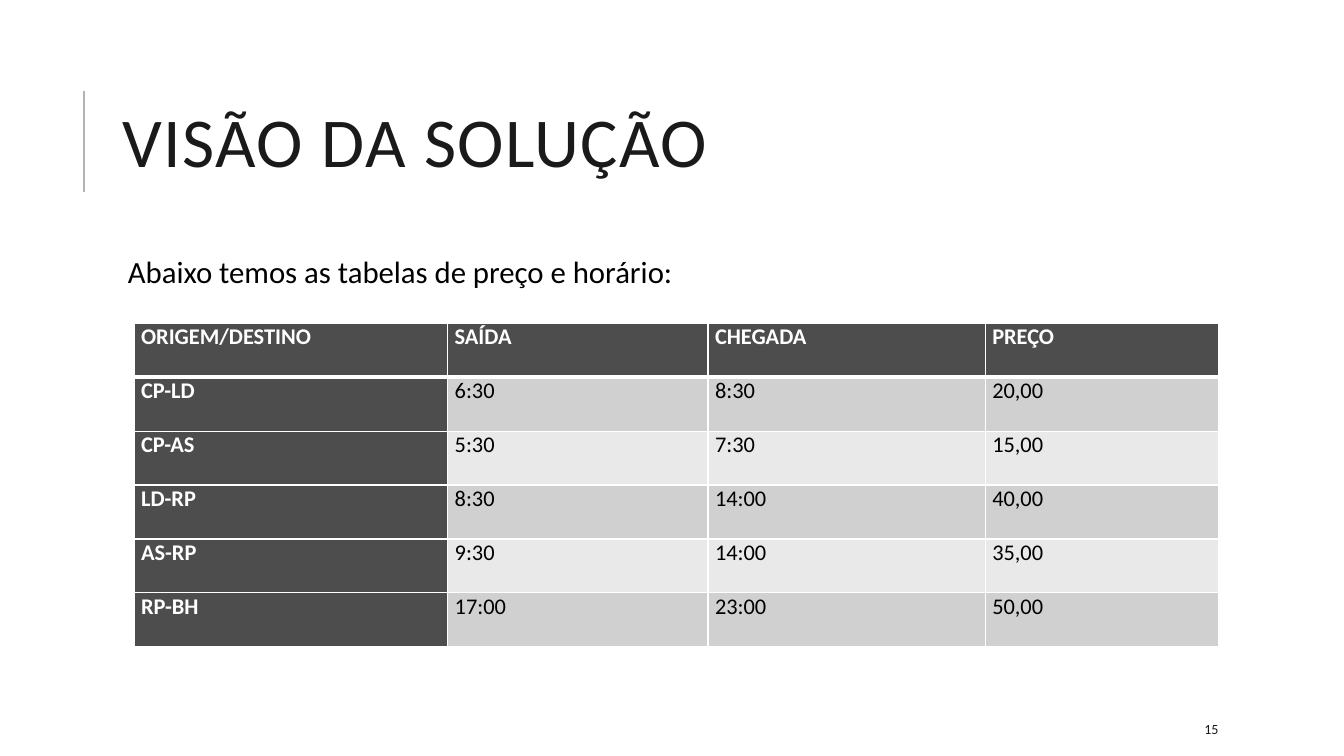
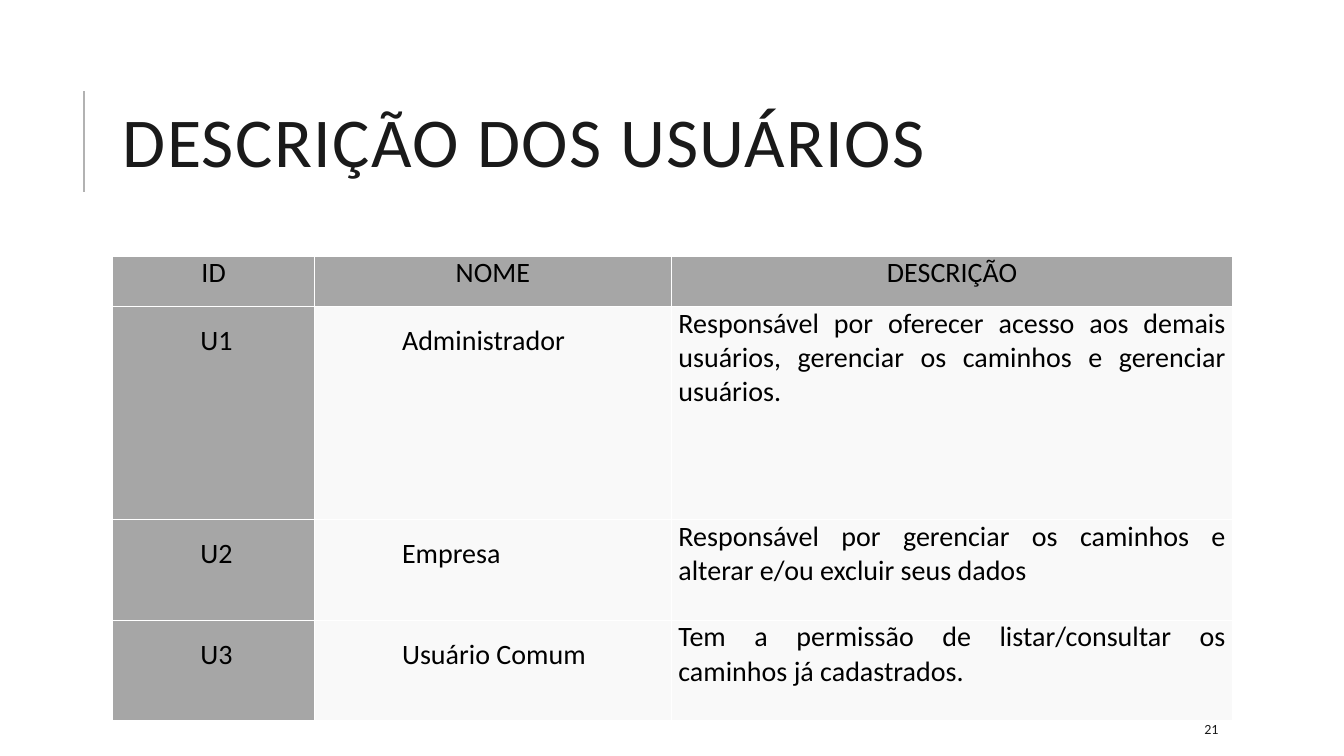
from dataclasses import dataclass, field

from lxml import etree
from pptx import Presentation
from pptx.dml.color import RGBColor
from pptx.enum.shapes import MSO_CONNECTOR
from pptx.enum.text import MSO_ANCHOR, PP_ALIGN
from pptx.oxml.ns import qn
from pptx.util import Pt

STRAIGHT = MSO_CONNECTOR.STRAIGHT
TOP, MIDDLE = MSO_ANCHOR.TOP, MSO_ANCHOR.MIDDLE
LEFT, CENTER, JUSTIFY = PP_ALIGN.LEFT, PP_ALIGN.CENTER, PP_ALIGN.JUSTIFY


@dataclass(frozen=True)
class Theme:
    font: str = "Calibri"
    black: str = "000000"
    white: str = "FFFFFF"
    ink: str = "1A1A1A"
    rule: str = "B2B2B2"
    dark: str = "4D4D4D"
    band_odd: str = "D0D0D0"
    band_even: str = "E9E9E9"
    header_gray: str = "A6A6A6"
    cell_gray: str = "F9F9F9"
    title_size: float = 50
    body_size: float = 22
    fares_size: float = 16
    users_size: float = 20
    number_size: float = 10


THEME = Theme()


@dataclass(frozen=True)
class Box:
    left: float
    top: float
    width: float
    height: float

    def lengths(self):
        return [Pt(n) for n in (self.left, self.top, self.width, self.height)]


@dataclass(frozen=True)
class TextStyle:
    size: float
    color: str = THEME.black
    bold: bool = False
    tracking: float = 0
    indent: float = 0
    para: dict = field(default_factory=dict)


@dataclass(frozen=True)
class CellStyle:
    fill: str
    text: TextStyle
    bottom_line: float = 1


PAGE = Box(0, 0, 960, 540)
TITLE_BOX = Box(80.6, 46, 765.4, 118)
INTRO_BOX = Box(80.6, 180, 765.4, 40)
FARES_BOX = Box(95.8, 231, 775, 231)
USERS_BOX = Box(80.6, 183, 800, 332)
NUMBER_BOX = Box(853.2, 509.8, 76.4, 21.6)
RULE_X, RULE_TOP, RULE_BOTTOM = 60, 65, 137

CELL_GAPS = {"space_before": Pt(3), "space_after": Pt(3)}
CELL_PARA = {"alignment": JUSTIFY, **CELL_GAPS}
TITLE = TextStyle(THEME.title_size, THEME.ink, tracking=1,
                  para={"alignment": LEFT, "line_spacing": 0.8})
INTRO = TextStyle(THEME.body_size, indent=7.2,
                  para={"line_spacing": 0.9, "space_before": Pt(12),
                        "space_after": Pt(2)})
NUMBER = TextStyle(THEME.number_size, THEME.ink)
FARES_HEAD = TextStyle(THEME.fares_size, THEME.white, True, para=CELL_PARA)
FARES_BODY = TextStyle(THEME.fares_size, para=CELL_PARA)
USERS_HEAD = TextStyle(THEME.users_size, para={"alignment": CENTER, **CELL_GAPS})
USERS_NAME = TextStyle(THEME.users_size, indent=57.6,
                       para={"alignment": JUSTIFY, "line_spacing": 1.5,
                             "space_before": Pt(3)})
USERS_BODY = TextStyle(THEME.users_size, para=CELL_PARA)

FARES_COLUMNS = (224, 186, 198, 167)
FARES = (
    ("ORIGEM/DESTINO", "SAÍDA", "CHEGADA", "PREÇO"),
    ("CP-LD", "6:30", "8:30", "20,00"),
    ("CP-AS", "5:30", "7:30", "15,00"),
    ("LD-RP", "8:30", "14:00", "40,00"),
    ("AS-RP", "9:30", "14:00", "35,00"),
    ("RP-BH", "17:00", "23:00", "50,00"),
)
USERS_COLUMNS = (144, 255, 401)
USERS_ROWS = (36, 152, 72, 72)
USERS = (
    ("ID", "NOME", "DESCRIÇÃO"),
    ("U1", "Administrador", "Responsável por oferecer acesso aos demais usuários, "
     "gerenciar os caminhos e gerenciar usuários."),
    ("U2", "Empresa", "Responsável por gerenciar os caminhos e alterar e/ou "
     "excluir seus dados"),
    ("U3", "Usuário Comum", "Tem a permissão de listar/consultar os caminhos "
     "já cadastrados."),
)


def apply(target, values):
    for name, value in values.items():
        setattr(target, name, value)


def write(frame, text, style):
    para = frame.paragraphs[0]
    apply(para, style.para)
    if style.indent:
        para._p.get_or_add_pPr().set("marL", str(Pt(style.indent)))
    span = para.add_run()
    span.text = text
    apply(span.font, {"name": THEME.font, "size": Pt(style.size),
                      "bold": style.bold})
    span.font.color.rgb = RGBColor.from_string(style.color)
    if style.tracking:
        span._r.get_or_add_rPr().set("spc", str(int(style.tracking * 100)))


def add_text(page, box, text, style, anchor=MIDDLE, side=7.2, edge=3.6):
    frame = page.shapes.add_textbox(*box.lengths()).text_frame
    apply(frame, {"word_wrap": True, "vertical_anchor": anchor,
                  "margin_left": Pt(side), "margin_right": Pt(side),
                  "margin_top": Pt(edge), "margin_bottom": Pt(edge)})
    write(frame, text, style)


def add_borders(cell, bottom_line):
    properties = cell._tc.get_or_add_tcPr()
    widths = {"a:lnL": 1, "a:lnR": 1, "a:lnT": 1, "a:lnB": bottom_line}
    for place, (tag, width) in enumerate(widths.items()):
        line = etree.Element(qn(tag), w=str(Pt(width)))
        fill = etree.SubElement(line, qn("a:solidFill"))
        etree.SubElement(fill, qn("a:srgbClr"), val=THEME.white)
        properties.insert(place, line)


def add_grid(page, box, columns, rows, content, style_at):
    table = page.shapes.add_table(len(rows), len(columns), *box.lengths()).table
    apply(table, {"first_row": False, "horz_banding": False})
    for column, width in zip(table.columns, columns):
        column.width = Pt(width)
    for row, height in zip(table.rows, rows):
        row.height = Pt(height)
    for row_index, texts in enumerate(content):
        for column_index, text in enumerate(texts):
            cell = table.cell(row_index, column_index)
            style = style_at(row_index, column_index)
            apply(cell, {"margin_left": Pt(5), "margin_right": Pt(5),
                         "margin_top": 0, "margin_bottom": 0})
            cell.fill.solid()
            cell.fill.fore_color.rgb = RGBColor.from_string(style.fill)
            add_borders(cell, style.bottom_line)
            write(cell.text_frame, text, style.text)


def fares_style(row, column):
    if row == 0:
        return CellStyle(THEME.dark, FARES_HEAD, bottom_line=3)
    if column == 0:
        return CellStyle(THEME.dark, FARES_HEAD)
    return CellStyle(THEME.band_odd if row % 2 else THEME.band_even, FARES_BODY)


def users_style(row, column):
    if row == 0:
        return CellStyle(THEME.header_gray, USERS_HEAD)
    fill = THEME.cell_gray if column else THEME.header_gray
    return CellStyle(fill, USERS_BODY if column == 2 else USERS_NAME)


# Shared parts: side rule, title and page number
def add_page(deck, title, number):
    page = deck.slides.add_slide(deck.slide_layouts[6])
    rule = page.shapes.add_connector(STRAIGHT, Pt(RULE_X), Pt(RULE_BOTTOM),
                                     Pt(RULE_X), Pt(RULE_TOP))
    rule.line.width = Pt(1.5)
    rule.line.color.rgb = RGBColor.from_string(THEME.rule)
    etree.SubElement(rule._element.spPr, qn("a:effectLst"))
    add_text(page, TITLE_BOX, title, TITLE)
    add_text(page, NUMBER_BOX, str(number), NUMBER)
    return page


# Prices and timetable
def build_fares(deck):
    page = add_page(deck, "VISÃO DA SOLUÇÃO", 15)
    add_text(page, INTRO_BOX, "Abaixo temos as tabelas de preço e horário:",
             INTRO, TOP, side=3.6)
    rows = [FARES_BOX.height / len(FARES)] * len(FARES)
    add_grid(page, FARES_BOX, FARES_COLUMNS, rows, FARES, fares_style)


# User roles
def build_users(deck):
    page = add_page(deck, "DESCRIÇÃO DOS USUÁRIOS", 21)
    add_grid(page, USERS_BOX, USERS_COLUMNS, USERS_ROWS, USERS, users_style)


def main():
    deck = Presentation()
    apply(deck, {"slide_width": Pt(PAGE.width), "slide_height": Pt(PAGE.height)})
    build_fares(deck)
    build_users(deck)
    deck.save("out.pptx")


if __name__ == "__main__":
    main()
